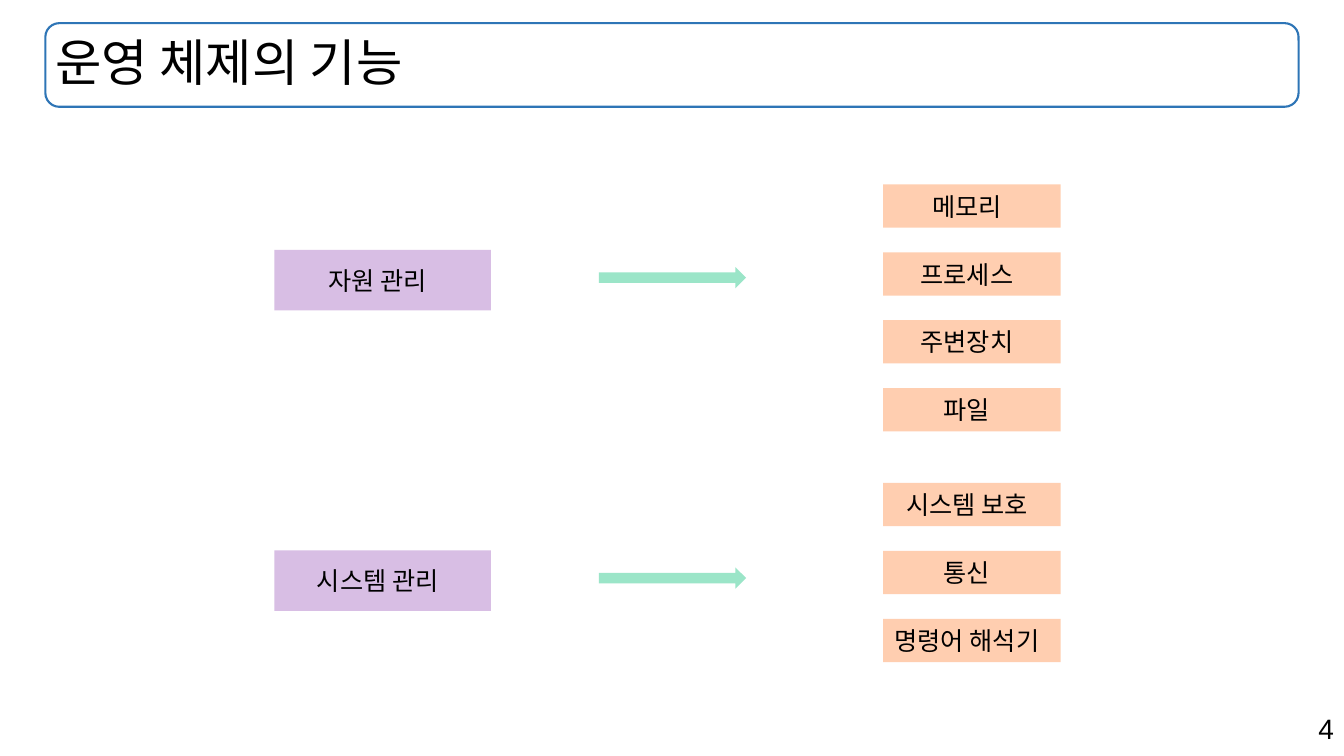
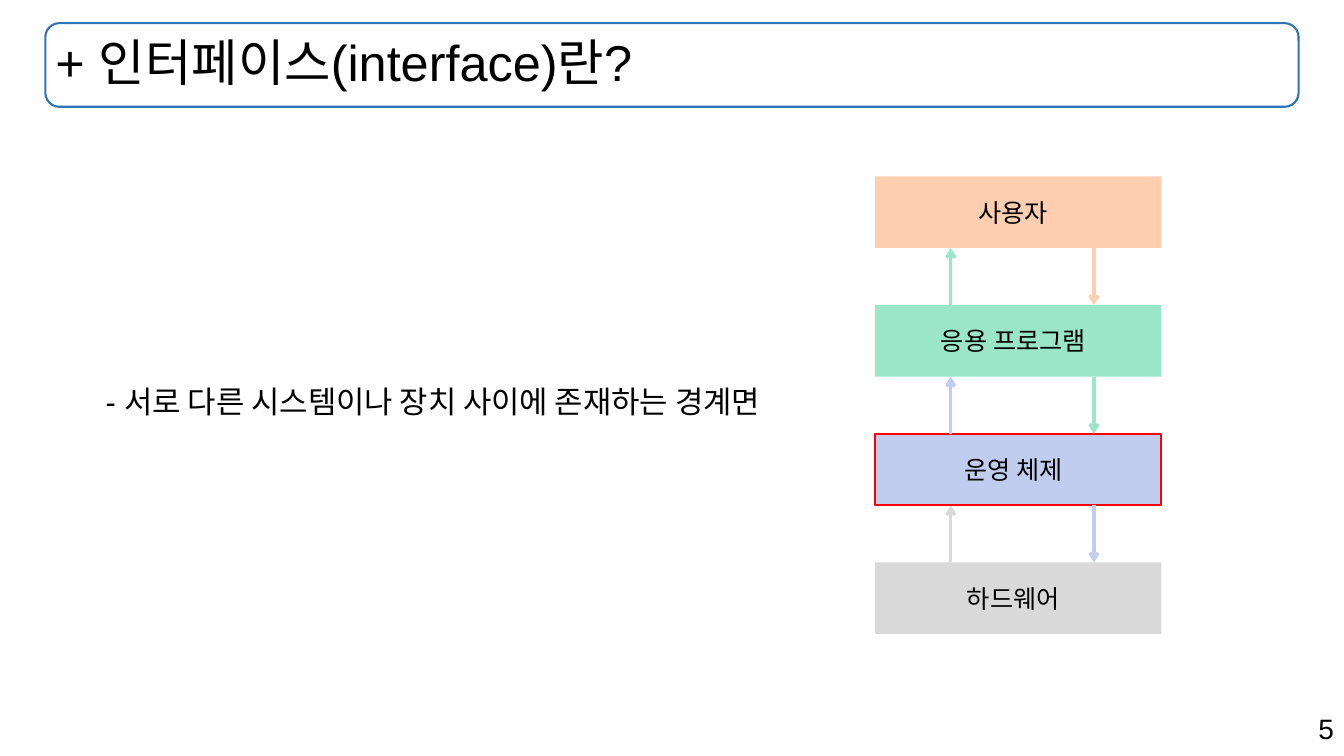
from lxml import etree
from pptx import Presentation
from pptx.dml.color import RGBColor
from pptx.enum.shapes import MSO_CONNECTOR, MSO_SHAPE
from pptx.enum.text import MSO_ANCHOR, MSO_AUTO_SIZE, PP_ALIGN
from pptx.oxml.ns import qn
from pptx.util import Inches, Pt

RECTANGLE = MSO_SHAPE.RECTANGLE
ROUNDED = MSO_SHAPE.ROUNDED_RECTANGLE
RIGHT_ARROW = MSO_SHAPE.RIGHT_ARROW
STRAIGHT = MSO_CONNECTOR.STRAIGHT
LEFT, CENTER, RIGHT = PP_ALIGN.LEFT, PP_ALIGN.CENTER, PP_ALIGN.RIGHT
TOP, MIDDLE = MSO_ANCHOR.TOP, MSO_ANCHOR.MIDDLE
FIXED_SIZE = MSO_AUTO_SIZE.NONE

BLACK = RGBColor(0x00, 0x00, 0x00)
FRAME_BLUE = RGBColor(0x2E, 0x75, 0xB6)
PEACH = RGBColor(0xFF, 0xCE, 0xB0)
LILAC = RGBColor(0xD8, 0xBE, 0xE4)
MINT = RGBColor(0x9B, 0xE5, 0xC8)
PERIWINKLE = RGBColor(0xC0, 0xCD, 0xEF)
GRAY = RGBColor(0xD9, 0xD9, 0xD9)
RED = RGBColor(0xFF, 0x00, 0x00)

FONT = "Arial"
TITLE_ONLY = 5
TITLE_BOX = (0.45, 0.23, 12.43, 0.83)
NUMBER_BOX = (9.43, 7.01, 3.9, 0.44)


def inches(box):
    """Convert a box of numbers to lengths."""
    return [Inches(value) for value in box]


def spread(start, length, size, count):
    """Return the starts of equal items spread evenly over a length."""
    step = (length - size) / (count - 1)
    return [start + step * index for index in range(count)]


def write(frame, text, size=18, align=LEFT, anchor=TOP, left=0.1, right=0.1, spacing=1.0):
    """Put one formatted paragraph into a text frame."""
    frame.word_wrap = True
    frame.auto_size = FIXED_SIZE
    frame.vertical_anchor = anchor
    frame.margin_left, frame.margin_right = Inches(left), Inches(right)
    frame.margin_top = frame.margin_bottom = Inches(0.05)
    para = frame.paragraphs[0]
    para.alignment = align
    para.line_spacing = spacing
    span = para.add_run()
    span.text = text
    span.font.name = FONT
    span.font.size = Pt(size)
    span.font.color.rgb = BLACK


def add_text(page, box, text, **style):
    """Add a text box."""
    write(page.shapes.add_textbox(*inches(box)).text_frame, text, **style)


def add_block(page, box, fill=None, outline=None, text=None, kind=RECTANGLE):
    """Add a flat shape with an optional outline and label."""
    block = page.shapes.add_shape(kind, *inches(box))
    block.shadow.inherit = False
    if fill is None:
        block.fill.background()
    else:
        block.fill.solid()
        block.fill.fore_color.rgb = fill
    if outline is None:
        block.line.fill.background()
    else:
        block.line.color.rgb = outline
        block.line.width = Pt(1.5)
    if text:
        write(block.text_frame, text, align=CENTER, anchor=MIDDLE, left=0)


def add_arrow(page, x, start, end, color):
    """Add a vertical connector with an arrowhead at its end."""
    arrow = page.shapes.add_connector(STRAIGHT, *inches((x, start, x, end)))
    arrow.line.color.rgb = color
    arrow.line.width = Pt(2.25)
    etree.SubElement(arrow.line._get_or_add_ln(), qn("a:tailEnd"), type="arrow")
    etree.SubElement(arrow._element.spPr, qn("a:effectLst"))


def add_page(deck, title, number):
    """Add a slide with the framed title and the page number."""
    page = deck.slides.add_slide(deck.slide_layouts[TITLE_ONLY])
    add_block(page, TITLE_BOX, outline=FRAME_BLUE, kind=ROUNDED)
    holder = page.shapes.title
    holder.left, holder.top, holder.width, holder.height = inches(TITLE_BOX)
    write(holder.text_frame, title, size=36, anchor=MIDDLE, spacing=0.9)
    add_text(page, NUMBER_BOX, str(number), size=20, align=RIGHT)
    return page


def add_function_group(page, box, category, category_offset, items):
    """Link a category on the left to its evenly spaced items on the right."""
    left, top, width, height = box
    item_width, item_height = 1.76, 0.43
    category_top = top + category_offset
    add_block(page, (left, category_top, 2.15, 0.6), LILAC, text=category)
    add_block(page, (left + 3.22, category_top + 0.17, 1.46, 0.21), MINT, kind=RIGHT_ARROW)
    item_left = left + width - item_width
    for item, y in zip(items, spread(top, height, item_height, len(items))):
        add_block(page, (item_left, y, item_width, item_height), PEACH, text=item)


def add_layer_stack(page, box, layers):
    """Stack layers with a pair of opposite arrows in each gap."""
    left, top, width, height = box
    layer_height = 0.71
    tops = spread(top, height, layer_height, len(layers))
    for (text, fill, outline), y in zip(layers, tops):
        add_block(page, (left, y, width, layer_height), fill, outline, text)
    fills = [fill for _, fill, _ in layers]
    for upper, lower, y, end in zip(fills, fills[1:], tops, tops[1:]):
        start = y + layer_height
        add_arrow(page, left + 2.17, start, end, upper)
        add_arrow(page, left + 0.75, end, start, lower)


def build_functions_page(deck):
    """Build the slide on the functions of an operating system."""
    page = add_page(deck, "운영 체제의 기능", 4)
    add_function_group(page, (2.72, 1.83, 7.8, 2.45), "자원 관리", 0.65,
                       ["메모리", "프로세스", "주변장치", "파일"])
    add_function_group(page, (2.72, 4.79, 7.8, 1.78), "시스템 관리", 0.67,
                       ["시스템 보호", "통신", "명령어 해석기"])


def build_interface_page(deck):
    """Build the slide that defines an interface."""
    page = add_page(deck, "+ 인터페이스(interface)란?", 5)
    add_layer_stack(page, (8.68, 1.75, 2.84, 4.54), [
        ("사용자", PEACH, None),
        ("응용 프로그램", MINT, None),
        ("운영 체제", PERIWINKLE, RED),
        ("하드웨어", GRAY, None),
    ])
    add_text(page, (0.95, 3.75, 7.35, 0.46),
             "- 서로 다른 시스템이나 장치 사이에 존재하는 경계면", size=22)


def main():
    """Build and save the deck."""
    deck = Presentation()
    deck.slide_width, deck.slide_height = Inches(13.33), Inches(7.5)
    build_functions_page(deck)
    build_interface_page(deck)
    deck.save("out.pptx")


if __name__ == "__main__":
    main()
